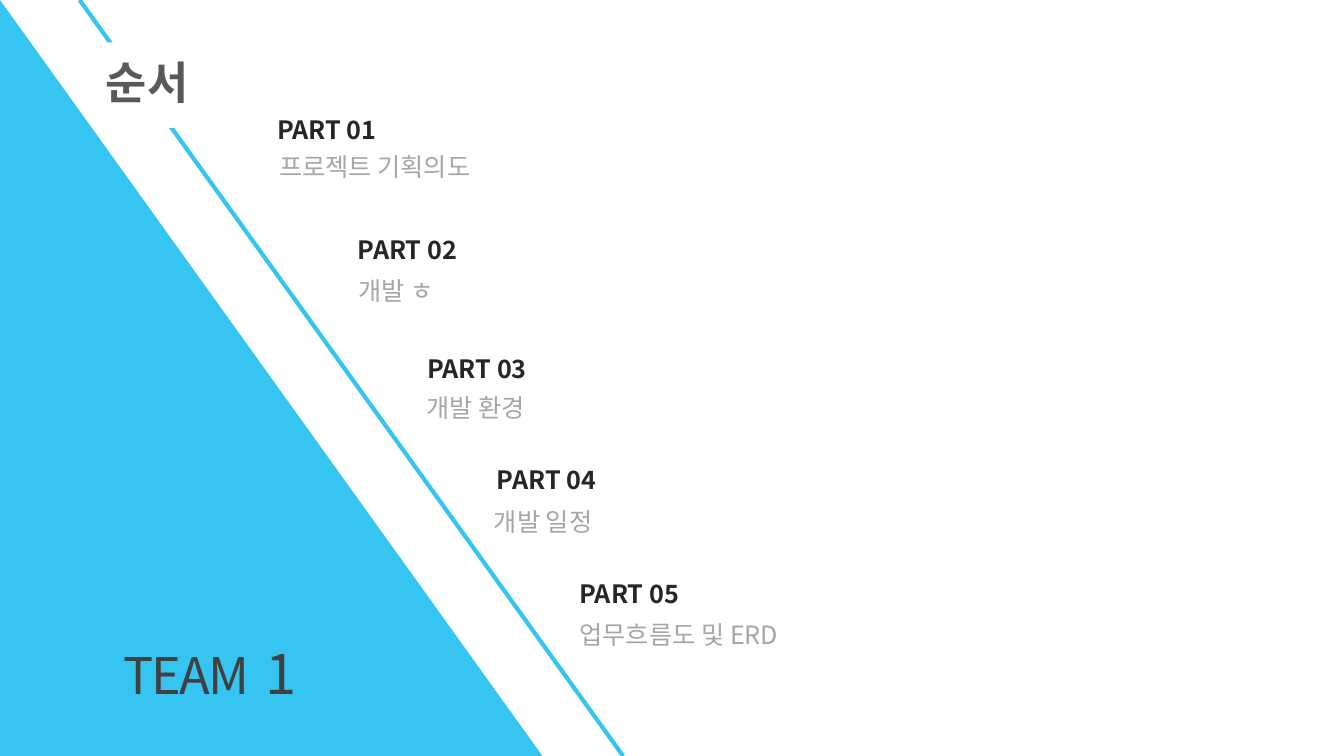
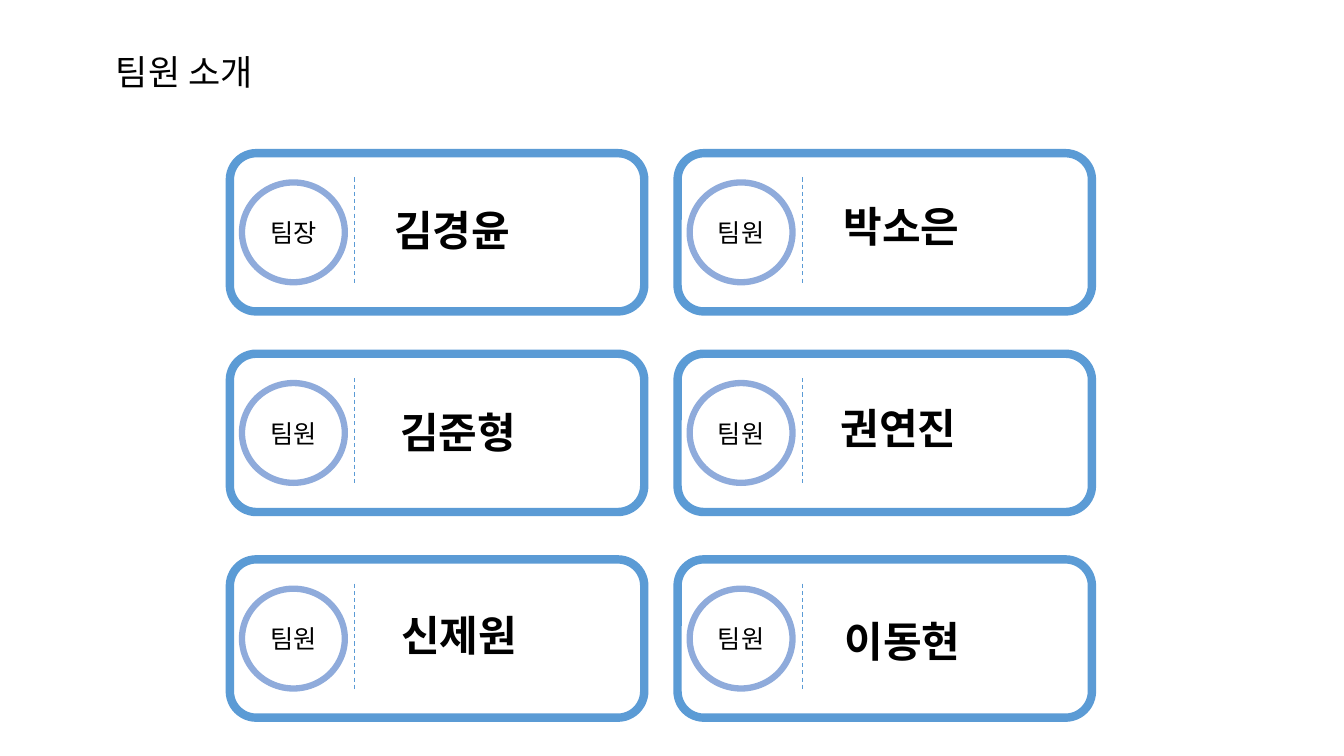
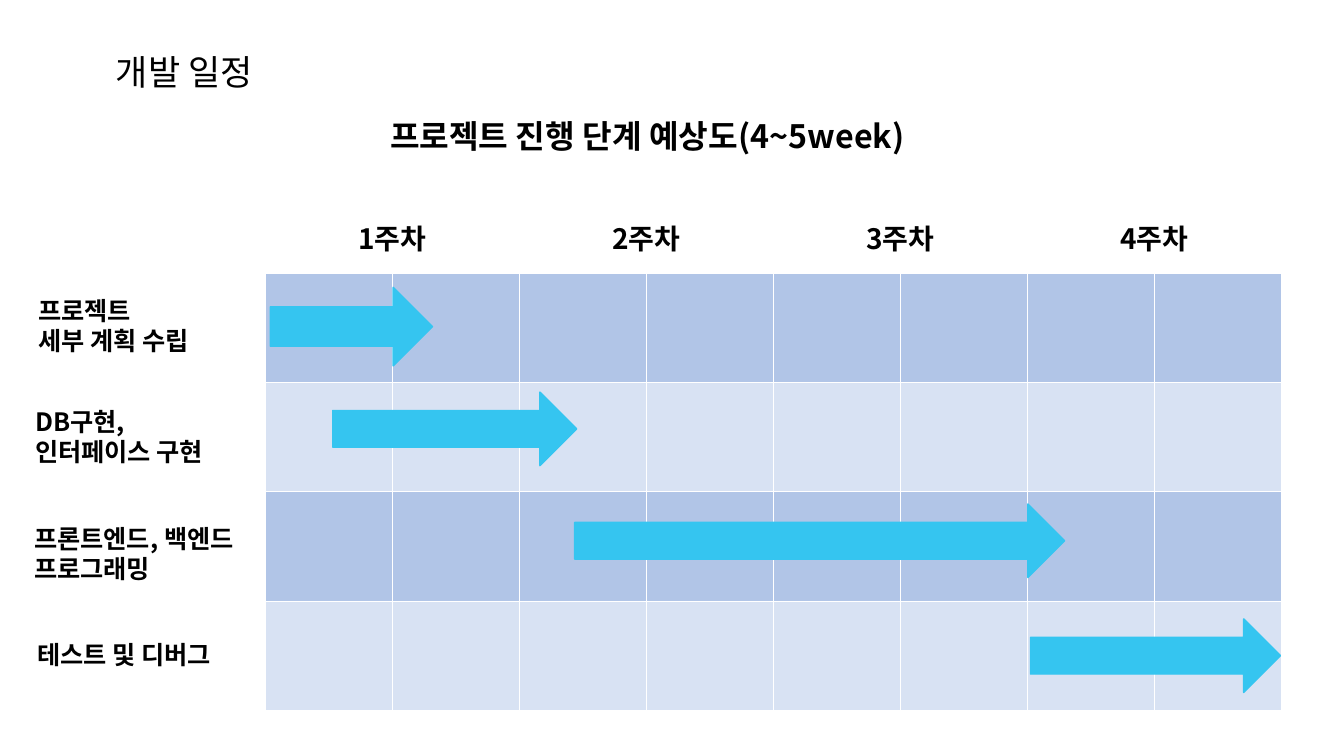
from lxml.etree import SubElement
from pptx import Presentation
from pptx.dml.color import RGBColor
from pptx.enum.dml import MSO_LINE
from pptx.enum.shapes import MSO_CONNECTOR, MSO_SHAPE
from pptx.enum.text import MSO_ANCHOR, MSO_AUTO_SIZE, PP_ALIGN
from pptx.oxml.ns import qn
from pptx.shapes.connector import Connector
from pptx.util import Pt

PX = 9144  # 100 px to the inch
FONT = "Noto Sans CJK KR"
COLORS = {
    "white": "FFFFFF", "black": "000000", "sky": "35C5F0",
    "title": "595959", "team": "404040", "part": "262626", "detail": "A6A6A6",
    "card": "5B9BD5", "badge": "8FABDB", "row_dark": "B1C5E7", "row_light": "D8E2F3",
}
RGB = {name: RGBColor.from_string(value) for name, value in COLORS.items()}
TITLE_AREA = (105, 45, 318, 51)


def write(target, text, size, color="black", bold=False, area=None,
          align=PP_ALIGN.LEFT, anchor=MSO_ANCHOR.TOP):
    """Fill a shape or table cell with styled text, moving it to area if given."""
    frame = target.text_frame
    if area:
        target.left, target.top, target.width, target.height = [v * PX for v in area]
        frame.auto_size = MSO_AUTO_SIZE.NONE
        frame.word_wrap = True
    target.vertical_anchor = frame.vertical_anchor = anchor
    frame.text = text
    for para in frame.paragraphs:
        para.alignment = align
        for span in para.runs:
            span.font.size = Pt(size)
            span.font.bold = bold
            span.font.color.rgb = RGB[color]
            span.font.name = FONT
            SubElement(span.font._element, qn("a:ea")).set("typeface", FONT)


def draw(page, kind, area, fill, line=None, weight=1):
    shape = page.shapes.add_shape(kind, *[v * PX for v in area])
    shape.shadow.inherit = False
    shape.fill.solid()
    shape.fill.fore_color.rgb = RGB[fill]
    if line:
        shape.line.color.rgb = RGB[line]
        shape.line.width = Pt(weight)
    else:
        shape.line.fill.background()
    return shape


deck = Presentation()
deck.slide_width, deck.slide_height = 1333 * PX, 750 * PX
contents, team, schedule = [deck.slides.add_slide(deck.slide_layouts[5]) for _ in range(3)]

# Contents
draw(contents, MSO_SHAPE.RIGHT_TRIANGLE, (0, 0, 538, 750), "sky")
slope = contents.shapes.add_connector(
    MSO_CONNECTOR.STRAIGHT, 79 * PX, 0, 618 * PX, 750 * PX)
slope.line.color.rgb = RGB["sky"]
slope.line.width = Pt(3)
draw(contents, MSO_SHAPE.RECTANGLE, (92, 42, 130, 85), "white")
title = contents.shapes.title
title.element.getparent().append(title.element)  # bring above the white gap
write(title, "순서", 32, "title", True, (95, 49, 125, 63))

parts = [
    ("프로젝트 기획의도", (265, 108), (267, 145)),
    ("개발 ㅎ", (345, 228), (346, 268)),
    ("개발 환경", (414, 346), (413, 384)),
    ("개발 일정", (483, 456), (480, 497)),
    ("업무흐름도 및 ERD", (565, 569), (565, 609)),
]
for number, (detail, part_at, detail_at) in enumerate(parts, 1):
    box = contents.shapes.add_textbox(0, 0, 0, 0)
    write(box, f"PART {number:02}", 18, "part", True, (*part_at, 230, 39))
    box = contents.shapes.add_textbox(0, 0, 0, 0)
    write(box, detail, 18, "detail", area=(*detail_at, 368, 40))

team_box = contents.shapes.add_textbox(0, 0, 0, 0)
write(team_box, "TEAM", 36, "team", area=(113, 609, 342, 99))
para = team_box.text_frame.paragraphs[0]
for text, size in ((" ", 54), ("1", 40)):
    span = para.add_run()
    span.text = text
    span.font.size = Pt(size)
    span.font.name = FONT
    span.font.color.rgb = RGB["team"]
for span in para.runs:
    span.font._element.set("spc", "-150")

# Team members
write(team.shapes.title, "팀원 소개", 25, area=TITLE_AREA)
members = [
    ("팀장", "김경윤", 381, 198), ("팀원", "박소은", 827, 194),
    ("팀원", "김준형", 387, 398), ("팀원", "권연진", 824, 394),
    ("팀원", "신제원", 388, 600), ("팀원", "이동현", 828, 606),
]
card_tops = (152, 351, 555)
for index, (role, name, name_left, name_top) in enumerate(members):
    left, top = 228 + index % 2 * 444, card_tops[index // 2]
    draw(team, MSO_SHAPE.ROUNDED_RECTANGLE, (left, top, 411, 157), "white", "card", 6)
    badge_area = (left + 12, top + 29, 102, 99)
    badge = draw(team, MSO_SHAPE.OVAL, badge_area, "white", "badge", 4.5)
    write(badge, role, 18, area=badge_area, align=PP_ALIGN.CENTER, anchor=MSO_ANCHOR.MIDDLE)
    divider_left = (left + 124) * PX
    divider = team.shapes.add_connector(
        MSO_CONNECTOR.STRAIGHT, divider_left, (top + 24) * PX, divider_left, (top + 130) * PX)
    divider.line.color.rgb = RGB["card"]
    divider.line.width = Pt(0.75)
    divider.line.dash_style = MSO_LINE.DASH
    box = team.shapes.add_textbox(0, 0, 0, 0)
    write(box, name, 30, bold=True, area=(name_left, name_top, 189, 60))

# Schedule
write(schedule.shapes.title, "개발 일정", 25, area=TITLE_AREA)
table = schedule.shapes.add_table(5, 8, 263 * PX, 169 * PX, 1008 * PX, 536 * PX).table
for row in table.rows:
    row.height = 434 * PX // 4
table.rows[0].height = 102 * PX
for row in range(5):
    fill = "white" if row == 0 else "row_dark" if row % 2 else "row_light"
    for column in range(8):
        cell = table.cell(row, column)
        cell.fill.solid()
        cell.fill.fore_color.rgb = RGB[fill]
for week in range(4):
    cell = table.cell(0, week * 2)
    cell.merge(table.cell(0, week * 2 + 1))
    write(cell, f"{week + 1}주차", 20, bold=True, align=PP_ALIGN.CENTER, anchor=MSO_ANCHOR.BOTTOM)
    cell.margin_bottom = 15 * PX

tasks = [
    ("프로젝트\n세부 계획 수립", (28, 288, 239, 70), (268, 285, 161, 78)),
    ("DB구현,\n인터페이스 구현", (25, 398, 233, 70), (330, 389, 242, 73)),
    ("프론트엔드, 백엔드 프로그래밍", (24, 514, 252, 70), (570, 500, 486, 73)),
    ("테스트 및 디버그", (27, 629, 230, 39), (1022, 614, 248, 73)),
]
for task, label_area, arrow_area in tasks:
    box = schedule.shapes.add_textbox(0, 0, 0, 0)
    write(box, task, 18, bold=True, area=label_area)
    draw(schedule, MSO_SHAPE.RIGHT_ARROW, arrow_area, "sky", "sky")
heading = schedule.shapes.add_textbox(0, 0, 0, 0)
write(heading, "프로젝트 진행 단계 예상도(4~5week)", 23, bold=True, area=(377, 110, 615, 48))

# Connectors carry a theme shadow until an empty effect list replaces it
for page in deck.slides:
    for shape in page.shapes:
        if isinstance(shape, Connector):
            SubElement(shape.element.spPr, qn("a:effectLst"))

deck.save("out.pptx")
